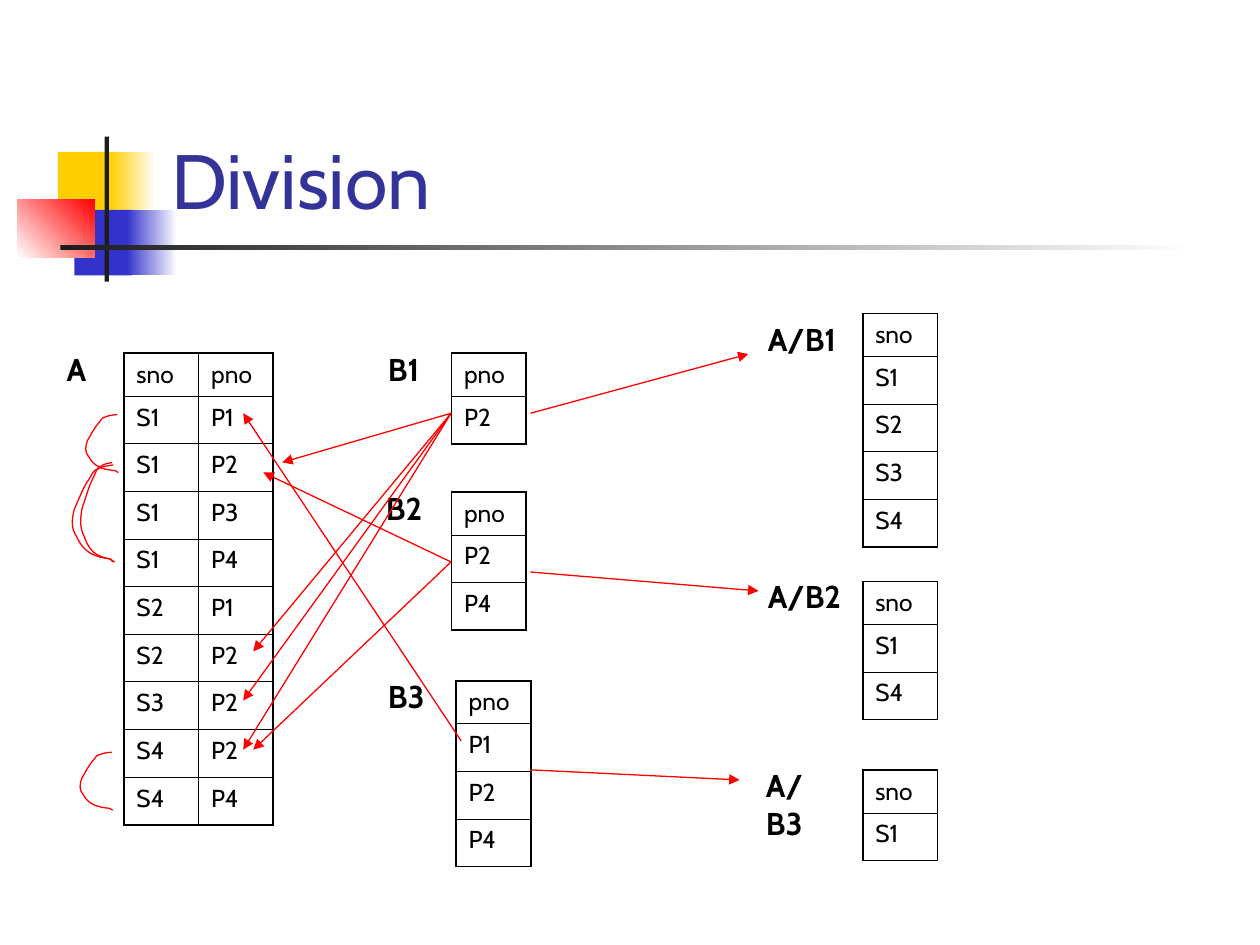
from dataclasses import dataclass

from lxml.etree import SubElement
from pptx import Presentation
from pptx.dml.color import RGBColor as Color
from pptx.enum.shapes import MSO_CONNECTOR as Connector, MSO_SHAPE as Shape
from pptx.enum.text import MSO_ANCHOR as Anchor, MSO_AUTO_SIZE as AutoSize
from pptx.oxml import parse_xml
from pptx.oxml.ns import nsdecls, qn
from pptx.util import Inches, Pt

WIDTH, HEIGHT = Inches(10), Inches(7.5)
COLUMN, ROW = WIDTH / 100, HEIGHT / 75


@dataclass(frozen=True)
class Theme:
    font: str = "Cabin"
    title_size: float = 44
    label_size: float = 18
    cell_size: float = 14
    title: str = "333399"
    ink: str = "000000"
    bar: str = "1C1C1C"
    yellow: str = "FFCF01"
    blue: str = "3333CC"
    red: str = "FF0000"
    white: str = "FFFFFF"
    arrow_width: float = 0.75
    outer_width: float = 1.08
    inner_width: float = 0.45


THEME = Theme()


@dataclass(frozen=True)
class Box:
    left: float
    top: float
    width: float
    height: float

    def inside(self, left, top, width, height):
        return Box(self.left + left, self.top + top, width, height)

    def emu(self):
        return (*point(self.left, self.top), *point(self.width, self.height))


def point(column, row):
    return round(column * COLUMN), round(row * ROW)


def add_span(para, text, size, color, bold=False):
    span = para.add_run()
    span.text = text
    span.font.name = THEME.font
    span.font.size = Pt(size)
    span.font.bold = bold
    span.font.color.rgb = Color.from_string(color)


def draw_title(page, box, text):
    frame = page.shapes.add_textbox(*box.emu()).text_frame
    frame.word_wrap = True
    frame.vertical_anchor = Anchor.BOTTOM
    add_span(frame.paragraphs[0], text, THEME.title_size, THEME.title)


def draw_label(page, box, text):
    frame = page.shapes.add_textbox(*box.emu()).text_frame
    frame.word_wrap = False
    frame.auto_size = AutoSize.SHAPE_TO_FIT_TEXT
    add_span(frame.paragraphs[0], text, THEME.label_size, THEME.ink, bold=True)


def draw_block(page, box, start, end=None, angle=0):
    block = page.shapes.add_shape(Shape.RECTANGLE, *box.emu())
    block.shadow.inherit = False
    block.line.fill.background()
    if end is None:
        block.fill.solid()
        block.fill.fore_color.rgb = Color.from_string(start)
        return
    block.fill.gradient()
    block.fill.gradient_angle = angle
    for stop, color in zip(block.fill.gradient_stops, (start, end)):
        stop.color.rgb = Color.from_string(color)


def draw_emblem(page, box):
    white = THEME.white
    for color, left, top, solid, fade in (
        (THEME.yellow, 3.2, 1.2, 4.8, 3.6),
        (THEME.blue, 4.5, 5.8, 4.6, 4),
    ):
        draw_block(page, box.inside(left, top, solid, 5.2), color)
        draw_block(page, box.inside(left + 4.15, top, fade, 5.2), color, white)
    draw_block(page, box.inside(0, 5, 6.1, 4.6), white, THEME.red, 45)
    draw_block(page, box.inside(6.9, 0, 0.35, box.height), THEME.bar)
    draw_block(page, box.inside(3.4, 8.62, box.width - 3.4, 0.35), THEME.bar, white)


def set_borders(cell, outer_sides):
    properties = cell._tc.get_or_add_tcPr()
    for index, side in enumerate("LRTB"):
        width = THEME.outer_width if side in outer_sides else THEME.inner_width
        properties.insert(index, parse_xml(
            f'<a:ln{side} {nsdecls("a")} w="{Pt(width)}"><a:solidFill>'
            f'<a:srgbClr val="{THEME.ink}"/></a:solidFill></a:ln{side}>'))


def draw_relation(page, left, top, records, name, name_box):
    header, body = 3.4, 3.78
    last_row, last_column = len(records) - 1, len(records[0]) - 1
    box = Box(left, top, 5.93 * (last_column + 1), header + body * last_row)
    table = page.shapes.add_table(len(records), len(records[0]), *box.emu()).table
    table.first_row = table.horz_banding = False
    for row, record in enumerate(records):
        table.rows[row].height = round((body if row else header) * ROW)
        for column, text in enumerate(record):
            cell = table.cell(row, column)
            cell.fill.background()
            add_span(cell.text_frame.paragraphs[0], text, THEME.cell_size, THEME.ink)
            edges = {"L": column == 0, "R": column == last_column,
                     "T": row == 0, "B": row == last_row}
            set_borders(cell, [side for side, outer in edges.items() if outer])
    draw_label(page, name_box, name)


def style_line(shape):
    shape.line.color.rgb = Color.from_string(THEME.red)
    shape.line.width = Pt(THEME.arrow_width)


def draw_arrow(page, start, end):
    arrow = page.shapes.add_connector(Connector.STRAIGHT, *point(*start), *point(*end))
    style_line(arrow)
    SubElement(arrow.line._get_or_add_ln(), qn("a:tailEnd"), type="triangle")
    SubElement(arrow._element.spPr, qn("a:effectLst"))


def bend_segments(shape):
    segments = list(shape._element.iter(qn("a:lnTo")))
    for first in range(0, len(segments), 3):
        group = segments[first:first + 3]
        outline = group[0].getparent()
        curve = SubElement(outline, qn("a:cubicBezTo"))
        for segment in group:
            curve.append(segment[0])
            outline.remove(segment)


def draw_brace(page, box):
    knots = [(0.97, 0), (0.86, 0.01), (0.74, 0.01), (0.63, 0.04),
             (0.51, 0.05), (0.49, 0.1), (0.43, 0.14),
             (0.26, 0.25), (0.2, 0.35), (0.09, 0.45),
             (0.03, 0.55), (0, 0.65), (0.14, 0.74),
             (0.29, 0.9), (0.54, 0.95), (0.91, 0.97),
             (0.94, 0.99), (1, 1), (1, 1)]
    start, *others = [point(box.left + x * box.width, box.top + y * box.height)
                      for x, y in knots]
    builder = page.shapes.build_freeform(*start)
    builder.add_line_segments(others, close=False)
    brace = builder.convert_to_shape()
    bend_segments(brace)
    brace.shadow.inherit = False
    brace.fill.background()
    style_line(brace)


def draw_relations(page):
    supplies = [("sno", "pno"), ("S1", "P1"), ("S1", "P2"), ("S1", "P3"), ("S1", "P4"),
                ("S2", "P1"), ("S2", "P2"), ("S3", "P2"), ("S4", "P2"), ("S4", "P4")]
    draw_relation(page, 9.83, 28.04, supplies, "A", Box(4.3, 27.3, 3.7, 4))
    for left, top, values, name, name_left, name_top, name_width in (
        (35.83, 28.04, "pno P2", "B1", 29.8, 27.3, 5.1),
        (35.83, 39.06, "pno P2 P4", "B2", 29.65, 38.3, 5.1),
        (36.2, 54.03, "pno P1 P2 P4", "B3", 29.8, 53.25, 5.1),
        (68.47, 24.88, "sno S1 S2 S3 S4", "A/B1", 59.95, 24.9, 7.8),
        (68.47, 46.15, "sno S1 S4", "A/B2", 59.95, 45.3, 7.8),
        (68.47, 61.12, "sno S1", "A/B3", 59.8, 60.3, 7.8),
    ):
        records = [(value,) for value in values.split()]
        draw_relation(page, left, top, records, name, Box(name_left, name_top, name_width, 4))


def draw_matches(page):
    for start, ends in (
        ((35.8, 32.8), [(22.4, 36.7), (20.1, 51.7), (19.3, 55.6), (19.3, 59.5)]),
        ((35.8, 44.6), [(20.9, 37.5), (20.1, 59.5)]),
        ((36.6, 58.8), [(19.3, 32.8)]),
        ((42.1, 32.8), [(59.4, 28.1)]),
        ((42.1, 45.4), [(60.2, 46.9)]),
        ((42.1, 61.1), [(58.7, 61.9)]),
    ):
        for end in ends:
            draw_arrow(page, start, end)
    for box in (Box(5.6, 36.9, 3.5, 7.7), Box(6.25, 59.7, 2.7, 4.6),
                Box(6.7, 32.9, 2.7, 4.6), Box(6.3, 36.7, 2.7, 7.9)):
        draw_brace(page, box)


def main():
    deck = Presentation()
    deck.slide_width, deck.slide_height = WIDTH, HEIGHT
    page = deck.slides.add_slide(deck.slide_layouts[6])
    draw_emblem(page, Box(1.4, 10.85, 93.4, 11.5))
    draw_title(page, Box(12.6, 2.35, 85.2, 16), "Division")
    draw_relations(page)
    draw_matches(page)
    deck.save("out.pptx")


if __name__ == "__main__":
    main()
